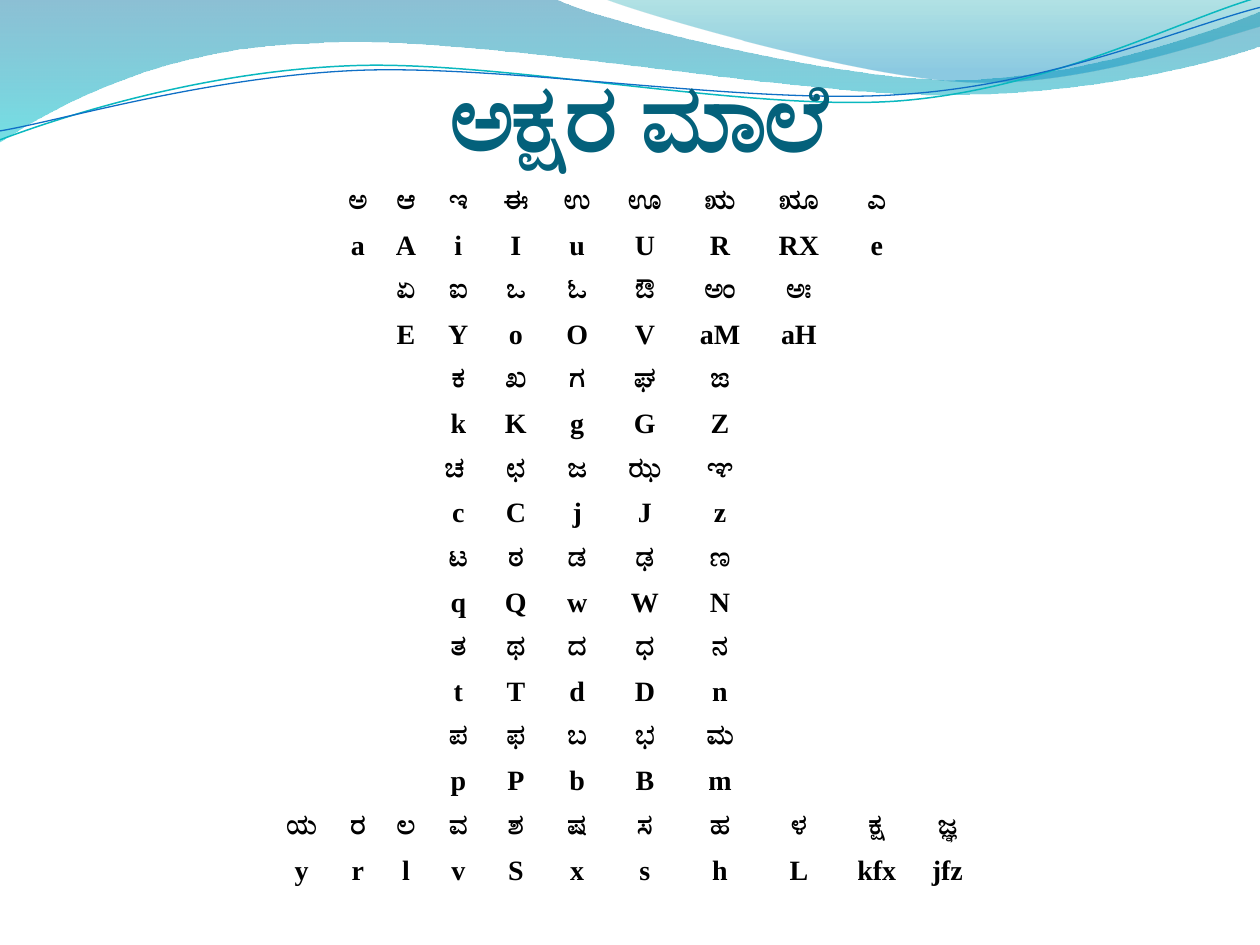
from lxml import etree
from pptx import Presentation
from pptx import util as u
from pptx.dml.color import RGBColor
from pptx.enum import text
from pptx.oxml.ns import qn

COLORS = {
    "title": "04617B", "letter": "000000",
    "blue": "0074A1", "cyan": "00C6CF", "teal": "00A1A9", "sky": "008BBF",
    "teal_line": "0AB8BF", "blue_line": "0F6FC6",
}

# Outlines in cm: a pair is a straight step, six numbers a cubic curve.
LEFT_WAVE = [
    (0, 0), (11.18, -0.03), (12.09, 0.43, 16.87, 1.6, 19.25, 1.6),
    (21.67, 1.6, 24.33, 0.66, 25.4, 0.23), (25.43, 0.91),
    (24.97, 1.12, 22.1, 1.93, 18.95, 1.91),
    (15.8, 1.91, 9.7, 0.71, 6.53, 0.86),
    (3.28, 0.91, 1.17, 2.11, -0.03, 2.87),
]
RIGHT_WAVE = [
    (12.17, -0.03), (12.93, 0.28, 17.32, 1.57, 19.53, 1.65),
    (21.74, 1.75, 24.41, 0.81, 25.4, 0.53), (25.4, 0),
]
# The two thin curves are level here and tilted when drawn.
TEAL_CURVE = [
    (-0.05, 2.22), (1.19, 1.82, 4.02, 1.04, 7.05, 1.06),
    (10.05, 1.07, 15.02, 2.37, 18.08, 2.29),
    (21.13, 2.2, 23.86, 0.91, 25.41, 0.55),
]
BLUE_CURVE = [
    (-0.04, 2.04), (1.16, 1.9, 4.17, 1.15, 7.2, 1.16),
    (10.25, 1.18, 15.13, 2.25, 18.19, 2.16),
    (21.22, 2.1, 23.93, 1.06, 25.45, 0.75),
]
CURVE_TILT = -2.7

COLUMN_WIDTHS = [2.46, 1.3, 0.97, 0.97, 1.14, 1.18, 1.29, 1.44, 1.59, 1.59, 1.55, 1.3, 2.47]
ROW_HEIGHT = 0.9

# First column, letters, and the keys that type them.
LETTER_GROUPS = [
    (2, "ಅ,ಆ,ಇ,ಈ,ಉ,ಊ,ಋ,ೠ,ಎ", "a,A,i,I,u,U,R,RX,e"),
    (3, "ಏ,ಐ,ಒ,ಓ,ಔ,ಅಂ,ಅಃ", "E,Y,o,O,V,aM,aH"),
    (4, "ಕ,ಖ,ಗ,ಘ,ಙ", "k,K,g,G,Z"),
    (4, "ಚ ,ಛ,ಜ,ಝ,ಞ", "c,C,j,J,z"),
    (4, "ಟ,ಠ,ಡ,ಢ,ಣ", "q,Q,w,W,N"),
    (4, "ತ,ಥ,ದ,ಧ,ನ", "t,T,d,D,n"),
    (4, "ಪ,ಫ,ಬ,ಭ,ಮ", "p,P,b,B,m"),
    (1, "ಯ,ರ,ಲ,ವ,ಶ,ಷ,ಸ,ಹ,ಳ,ಕ್ಷ,ಜ್ಞ", "y,r,l,v,S,x,s,h,L,kfx,jfz"),
]


def rgb(name):
    return RGBColor.from_string(COLORS[name])


def write_text(tf, content, size, font, color, bold=True, align=text.PP_ALIGN.CENTER):
    p = tf.paragraphs[0]
    p.alignment = align
    r = p.add_run()
    r.text = content
    r.font.size = u.Pt(size)
    r.font.name = font
    r.font.bold = bold
    r.font.color.rgb = rgb(color)


def add_outline(s, outline, close):
    """Build a freeform through all points, then join each curve's three steps into one."""
    points = [(u.Cm(x), u.Cm(y)) for step in outline
              for x, y in zip(step[::2], step[1::2])]
    builder = s.shapes.build_freeform(*points[0])
    builder.add_line_segments(points[1:], close=close)
    sp = builder.convert_to_shape()
    sp.shadow.inherit = False
    lines = iter(list(sp._element.iter(qn("a:lnTo"))))
    for step in outline[1:]:
        line = next(lines)
        if len(step) == 6:
            curve = etree.Element(qn("a:cubicBezTo"))
            line.addprevious(curve)
            for part in (line, next(lines), next(lines)):
                curve.append(part[0])
                part.getparent().remove(part)
    return sp


def add_wave(s, outline, stops):
    """Fill an outline from top to bottom; a stop is position, colour, opacity in percent."""
    sp = add_outline(s, outline, close=True)
    sp.line.fill.background()
    sp.fill.gradient()
    sp.fill.gradient_angle = 270
    for stop, (position, color, _) in zip(sp.fill.gradient_stops, stops):
        stop.position = position
        stop.color.rgb = rgb(color)
    for clr, (_, _, opacity) in zip(sp._element.spPr.iter(qn("a:srgbClr")), stops):
        etree.SubElement(clr, qn("a:alpha"), val=str(opacity * 1000))


def add_curve(s, outline, color, width):
    sp = add_outline(s, outline, close=False)
    sp.rotation = CURVE_TILT
    sp.fill.background()
    sp.line.color.rgb = rgb(color)
    sp.line.width = u.Pt(width)


def set_title(s, content):
    sp = s.shapes.title
    sp.left, sp.top, sp.width, sp.height = u.Cm(1.48), u.Cm(0.64), u.Cm(22.86), u.Cm(3.18)
    tf = sp.text_frame
    tf.auto_size = text.MSO_AUTO_SIZE.NONE
    tf.vertical_anchor = text.MSO_ANCHOR.MIDDLE
    tf.margin_left = tf.margin_right = tf.margin_bottom = 0
    tf.margin_top = u.Cm(0.13)
    write_text(tf, content, size=54, font="Calibri", color="title")
    sp._element.getparent().append(sp._element)  # in front of the waves


def add_letter_table(s):
    rows = [(first, line.split(",")) for first, *lines in LETTER_GROUPS for line in lines]
    table = s.shapes.add_table(
        len(rows), len(COLUMN_WIDTHS), u.Cm(2.97), u.Cm(3.59),
        u.Cm(sum(COLUMN_WIDTHS)), u.Cm(ROW_HEIGHT * len(rows))).table
    table.first_row = table.horz_banding = False
    for column, width in zip(table.columns, COLUMN_WIDTHS):
        column.width = u.Cm(width)
    for row, (first, letters) in zip(table.rows, rows):
        row.height = u.Cm(ROW_HEIGHT)
        for i, cell in enumerate(row.cells):
            cell.fill.background()
            cell.vertical_anchor = text.MSO_ANCHOR.MIDDLE
            cell.margin_left = cell.margin_right = cell.margin_top = u.Cm(0.02)
            cell.margin_bottom = 0
            if first <= i < first + len(letters):
                write_text(cell.text_frame, letters[i - first], size=16,
                           font="Times New Roman", color="letter")


def main():
    prs = Presentation()
    prs.slide_width, prs.slide_height = u.Cm(25.4), u.Cm(19.05)
    s = prs.slides.add_slide(prs.slide_layouts[5])
    add_wave(s, LEFT_WAVE, [(0, "blue", 45), (1, "cyan", 55)])
    add_wave(s, RIGHT_WAVE, [(0, "teal", 30), (0.8, "sky", 45)])
    add_curve(s, TEAL_CURVE, "teal_line", 0.85)
    add_curve(s, BLUE_CURVE, "blue_line", 0.75)
    set_title(s, "ಅಕ್ಷರ ಮಾಲೆ")
    add_letter_table(s)
    prs.save("out.pptx")


if __name__ == "__main__":
    main()
